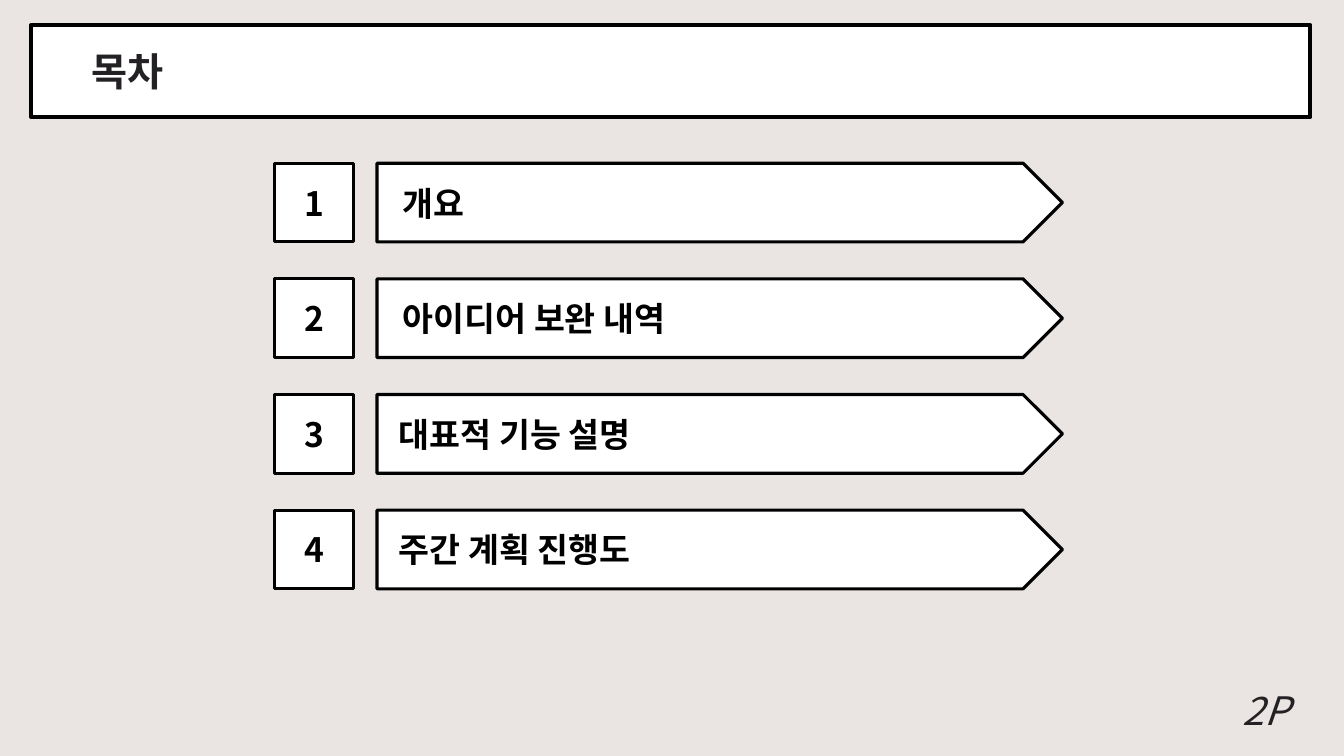
"""Build a table of contents slide with four numbered arrow banners."""
from pptx import Presentation
from pptx.dml.color import RGBColor
from pptx.enum.shapes import MSO_SHAPE
from pptx.enum.text import MSO_ANCHOR, PP_ALIGN
from pptx.util import Pt

TITLE = "목차"
PAGE = "2P"
SECTIONS = [
    ("개요", 18.4),
    ("아이디어 보완 내역", 18.4),
    ("대표적 기능 설명", 15.6),
    ("주간 계획 진행도", 15.6),
]

COLORS = {"background": "EAE5E2", "panel": "FFFFFF", "black": "000000", "ink": "232124"}
FONT = "Noto Sans CJK KR"
RECTANGLE = MSO_SHAPE.RECTANGLE
ARROW = MSO_SHAPE.PENTAGON
LEFT, CENTER = PP_ALIGN.LEFT, PP_ALIGN.CENTER
MIDDLE = MSO_ANCHOR.MIDDLE

SLIDE_SIZE = (960, 540)
TITLE_BOX = (22.3, 18, 913.7, 65.5)
PAGE_BOX = (864, 486.7, 79.9, 41)
ROW_TOP, ROW_PITCH, ROW_HEIGHT = 116.6, 82.6, 56.2
NUMBER_LEFT, NUMBER_WIDTH = 195.8, 56.9
ARROW_LEFT, ARROW_WIDTH = 269.3, 489.6


def color(name):
    return RGBColor.from_string(COLORS[name])


def write(shape, text, size, ink, align, bold=False, italic=False):
    paragraph = shape.text_frame.paragraphs[0]
    paragraph.alignment = align
    run = paragraph.add_run()
    run.text = text
    font = run.font
    font.name, font.size = FONT, Pt(size)
    font.bold, font.italic = bold, italic
    font.color.rgb = color(ink)


def add_panel(slide, kind, box, line_width, margin=7.2):
    shape = slide.shapes.add_shape(kind, *map(Pt, box))
    shape.shadow.inherit = False
    shape.fill.solid()
    shape.fill.fore_color.rgb = color("panel")
    shape.line.color.rgb = color("black")
    shape.line.width = Pt(line_width)
    shape.text_frame.word_wrap = True
    shape.text_frame.vertical_anchor = MIDDLE
    shape.text_frame.margin_left = Pt(margin)
    return shape


def main():
    presentation = Presentation()
    presentation.slide_width, presentation.slide_height = map(Pt, SLIDE_SIZE)
    slide = presentation.slides.add_slide(presentation.slide_layouts[6])
    slide.background.fill.solid()
    slide.background.fill.fore_color.rgb = color("background")

    title = add_panel(slide, RECTANGLE, TITLE_BOX, 3, margin=43.2)
    write(title, TITLE, 28, "ink", LEFT, bold=True)

    for index, (section, margin) in enumerate(SECTIONS):
        top = ROW_TOP + index * ROW_PITCH
        number_box = (NUMBER_LEFT, top, NUMBER_WIDTH, ROW_HEIGHT)
        number = add_panel(slide, RECTANGLE, number_box, 2.25)
        write(number, str(index + 1), 24, "black", CENTER, bold=True)
        arrow_box = (ARROW_LEFT, top, ARROW_WIDTH, ROW_HEIGHT)
        arrow = add_panel(slide, ARROW, arrow_box, 2.25, margin)
        write(arrow, section, 24, "black", LEFT, bold=True)

    page = slide.shapes.add_textbox(*map(Pt, PAGE_BOX))
    page.text_frame.word_wrap = True
    write(page, PAGE, 28, "ink", CENTER, italic=True)
    presentation.save("out.pptx")


if __name__ == "__main__":
    main()
